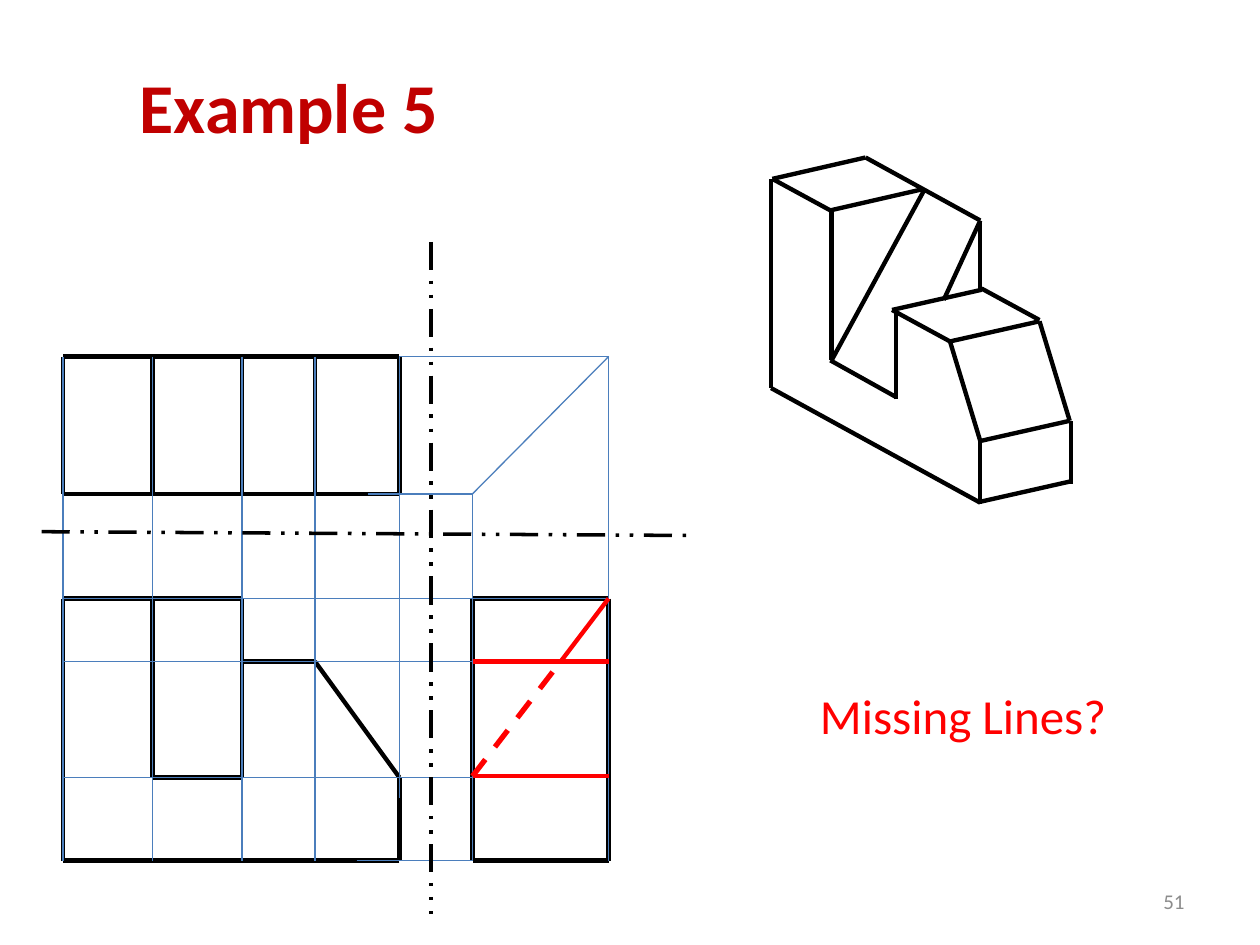
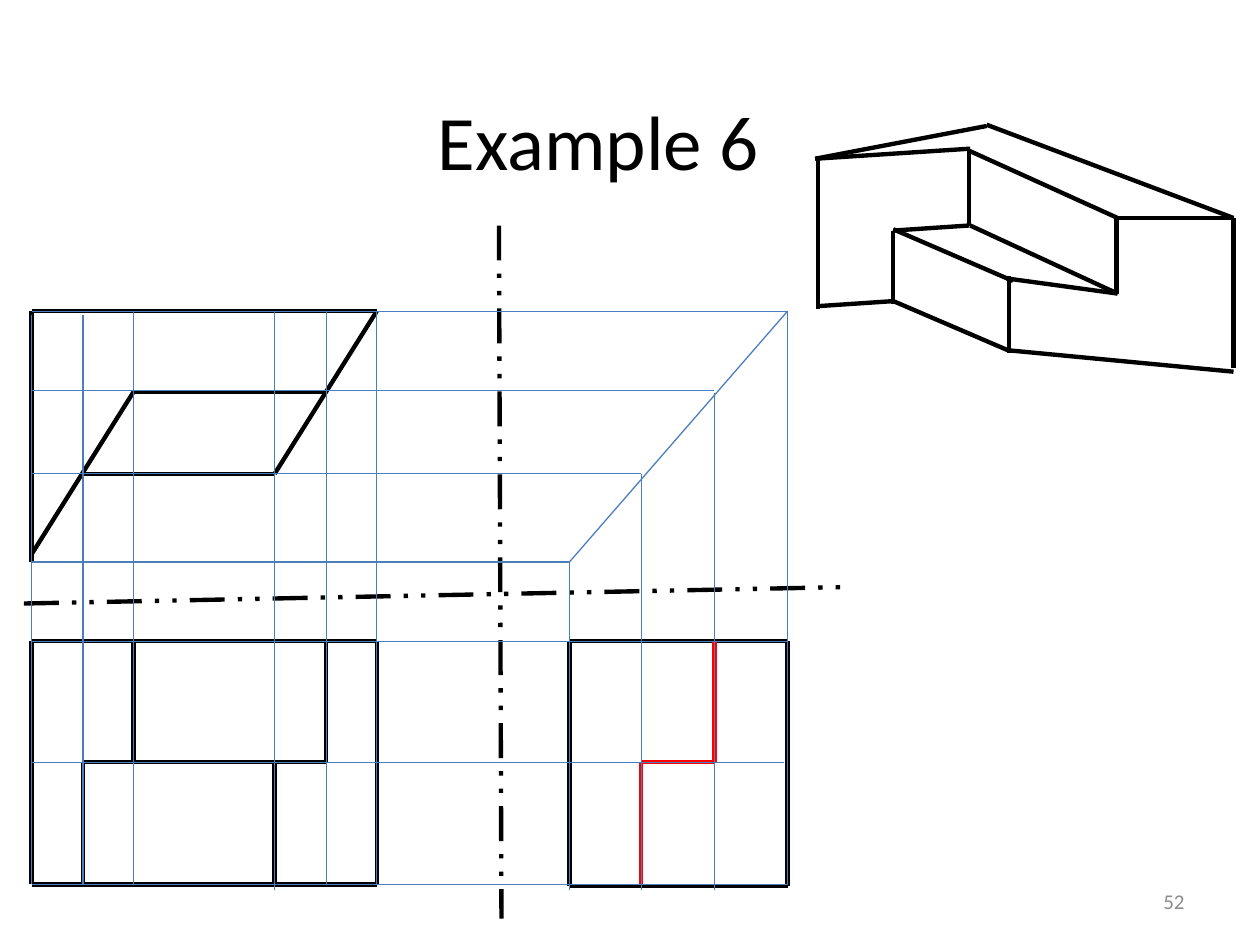
from collections import namedtuple
from itertools import pairwise

from lxml.etree import SubElement
from pptx import Presentation
from pptx.dml.color import RGBColor
from pptx.enum.dml import MSO_LINE as Dash
from pptx.enum.shapes import MSO_CONNECTOR as Connector
from pptx.enum.text import MSO_ANCHOR as Anchor, PP_ALIGN as Align
from pptx.oxml.ns import qn
from pptx.util import Emu, Pt

EMU_PER_PX = 9144  # 100 px to the inch
FONT = "Calibri"
BLACK, RED, DARK_RED = "000000", "FF0000", "C00000"
BLUE, GREY = "4B7EBC", "8C8C8C"

Stroke = namedtuple("Stroke", "color width dash", defaults=[None])
EDGE = Stroke(BLACK, 2.5)
ANSWER = Stroke(RED, 2.5)
HIDDEN_ANSWER = Stroke(RED, 3, Dash.DASH)
PROJECTOR = Stroke(BLUE, 0.75)


def px(length):
    return Emu(length * EMU_PER_PX)


def rgb(color):
    return RGBColor.from_string(color)


def rectangle(left, top, right, bottom):
    return [(left, top), (right, top), (right, bottom), (left, bottom), (left, top)]


def horizontal(y, left, right):
    return [(left, y), (right, y)]


def vertical(x, top, bottom):
    return [(x, top), (x, bottom)]


def draw(slide, origin, stroke, paths):
    """Draw each path, given relative to origin, as a chain of straight lines."""
    left, top = origin
    for path in paths:
        for (x1, y1), (x2, y2) in pairwise(path):
            connector = slide.shapes.add_connector(
                Connector.STRAIGHT,
                px(left + x1), px(top + y1), px(left + x2), px(top + y2))
            connector.line.color.rgb = rgb(stroke.color)
            connector.line.width = Pt(stroke.width)
            if stroke.dash is not None:
                connector.line.dash_style = stroke.dash
            SubElement(connector.element.spPr, qn("a:effectLst"))


def place(shape, box):
    shape.left, shape.top, shape.width, shape.height = map(px, box)


def write(shape, text, size, color, align=Align.LEFT, bold=False, anchor=Anchor.MIDDLE):
    frame = shape.text_frame
    frame.word_wrap = True
    frame.vertical_anchor = anchor
    paragraph = frame.paragraphs[0]
    paragraph.alignment = align
    run = paragraph.add_run()
    run.text = text
    font = run.font
    font.name, font.size, font.bold = FONT, Pt(size), bold
    font.color.rgb = rgb(color)


def add_text(slide, box, text, size, color, **options):
    write(slide.shapes.add_textbox(*map(px, box)), text, size, color, **options)


def add_example_slide(presentation, number, title, box, size, color, **options):
    slide = presentation.slides.add_slide(presentation.slide_layouts[5])
    place(slide.shapes.title, box)
    write(slide.shapes.title, title, size, color, **options)
    add_text(slide, (717, 695, 233, 40), str(number), 12, GREY, align=Align.RIGHT)
    return slide


def draw_notched_views(slide, origin):
    """Top, front and side views of the block with a slanted notch."""
    a, b, c, d, e = 0, 71, 142, 200, 267
    side_left, side_right = 325, 433
    top_back, top_front = 0, 109
    high, step, low, base = 192, 242, 334, 400

    draw(slide, origin, EDGE, [
        [(c, step), (d, step), (e, low), (e, base), (a, base), (a, high),
         (c, high), (c, low), (b, low), (b, high)],
        rectangle(a, top_back, e, top_front),
        *(vertical(x, top_back, top_front) for x in (b, c, d)),
        rectangle(side_left, high, side_right, base),
    ])
    draw(slide, origin, PROJECTOR, [
        *(vertical(x, top_back, base) for x in (a, b, c, d)),
        vertical(e, top_back, 350),
        *(horizontal(y, a, side_right) for y in (high, step, low)),
        horizontal(base, 233, side_left),
        [(e, top_back), (side_right, top_back), (side_right, base)],
        horizontal(top_front, 242, side_left),
        vertical(side_left, top_front, base),
        [(side_left, top_front), (side_right, top_back)],
    ])
    crossing = (395, step)
    draw(slide, origin, ANSWER, [
        horizontal(step, side_left, side_right),
        horizontal(low - 1, side_left, side_right),
        [crossing, (side_right, high)],
    ])
    draw(slide, origin, HIDDEN_ANSWER, [[(side_left, low - 1), crossing]])
    draw(slide, origin, Stroke(BLACK, 2, Dash.DASH_DOT_DOT), [
        vertical(292, -91, 442),
        [(-17, 139), (501, 142)],
    ])


def draw_notched_block(slide, origin):
    draw(slide, origin, EDGE, [
        [(0, 17), (0, 183), (166, 274)],
        [(48, 161), (48, 42)],
        [(1, 17), (47, 42), (121, 25)],
        [(1, 17), (75, 0), (166, 50), (166, 104)],
        [(47, 161), (99, 190)],
        [(99, 192), (99, 121)],
        [(142, 146), (96, 121), (167, 105)],
        [(167, 104), (213, 129)],
        [(166, 50), (137, 113)],
        [(122, 25), (48, 161)],
        [(213, 130), (142, 146), (166, 225), (237, 209), (213, 130)],
        [(166, 275), (166, 225)],
        [(167, 273), (238, 257)],
        [(238, 259), (238, 209)],
    ])


def draw_stepped_views(slide, origin):
    """Top, front and side views of the block with a step."""
    a, b, c, d, e, f = 0, 41, 81, 193, 234, 274
    side_left, side_low, side_high, side_right = 427, 484, 542, 600
    back, upper, lower, front = 0, 64, 129, 199
    high, step, base = 262, 358, 455
    overshoot = base + 4

    draw(slide, origin, Stroke(BLACK, 2.5, Dash.DASH_DOT_DOT), [
        [(371, -68), (373, 482)],
        [(-6, 232), (643, 219)],
    ])
    draw(slide, origin, EDGE, [
        rectangle(a, high, f, base),
        [(e, high), (e, step), (b, step), (b, base)],
        vertical(c, high, step),
        vertical(d, step, base),
        rectangle(side_left, high, side_right, base + 1),
        [(a, front), (a, back), (f, back), (d, lower), (b, lower)],
        [(e, upper), (c, upper), (a, 193)],
    ])
    draw(slide, origin, ANSWER, [
        [(side_high, high), (side_high, step), (side_low, step), (side_low, base)],
    ])
    draw(slide, origin, PROJECTOR, [
        *(vertical(x, back + 3, base) for x in (a, b)),
        *(vertical(x, back, base) for x in (c, e, f, side_right)),
        vertical(d, back, overshoot),
        *(horizontal(y, a, side_right) for y in (back, high, base)),
        horizontal(step, a, side_right - 3),
        horizontal(upper - 1, a, side_high),
        vertical(side_high, upper + 1, overshoot),
        [(a, lower), (side_low, lower), (side_low, overshoot)],
        [(a, front), (side_left, front), (side_left, overshoot)],
        [(side_left, front), (side_right, back)],
    ])


def draw_stepped_block(slide, origin):
    draw(slide, origin, EDGE, [
        [(122, 80), (62, 84), (62, 142)],
        [(62, 83), (157, 124)],
        [(136, 0), (332, 74), (332, 193)],
        [(122, 19), (122, 80)],
        [(136, 1), (0, 27), (123, 19)],
        [(123, 21), (240, 74)],
        [(332, 74), (239, 74), (239, 134)],
        [(332, 196), (153, 179), (62, 140)],
        [(2, 27), (2, 146)],
        [(2, 144), (62, 140)],
        [(123, 80), (240, 134), (152, 122)],
        [(154, 120), (154, 181)],
    ])


def main():
    presentation = Presentation()
    presentation.slide_width, presentation.slide_height = px(1000), px(750)

    slide = add_example_slide(presentation, 51, "Example 5", (101, 25, 304, 117),
                              40, DARK_RED, bold=True)
    draw_notched_views(slide, (50, 283))
    draw_notched_block(slide, (612, 125))
    add_text(slide, (641, 539, 250, 57), "Missing Lines?", 28, RED, anchor=Anchor.TOP)

    slide = add_example_slide(presentation, 52, "Example 6", (25, 50, 900, 122),
                              44, BLACK, align=Align.CENTER)
    draw_stepped_views(slide, (25, 247))
    draw_stepped_block(slide, (647, 99))

    presentation.save("out.pptx")


if __name__ == "__main__":
    main()
